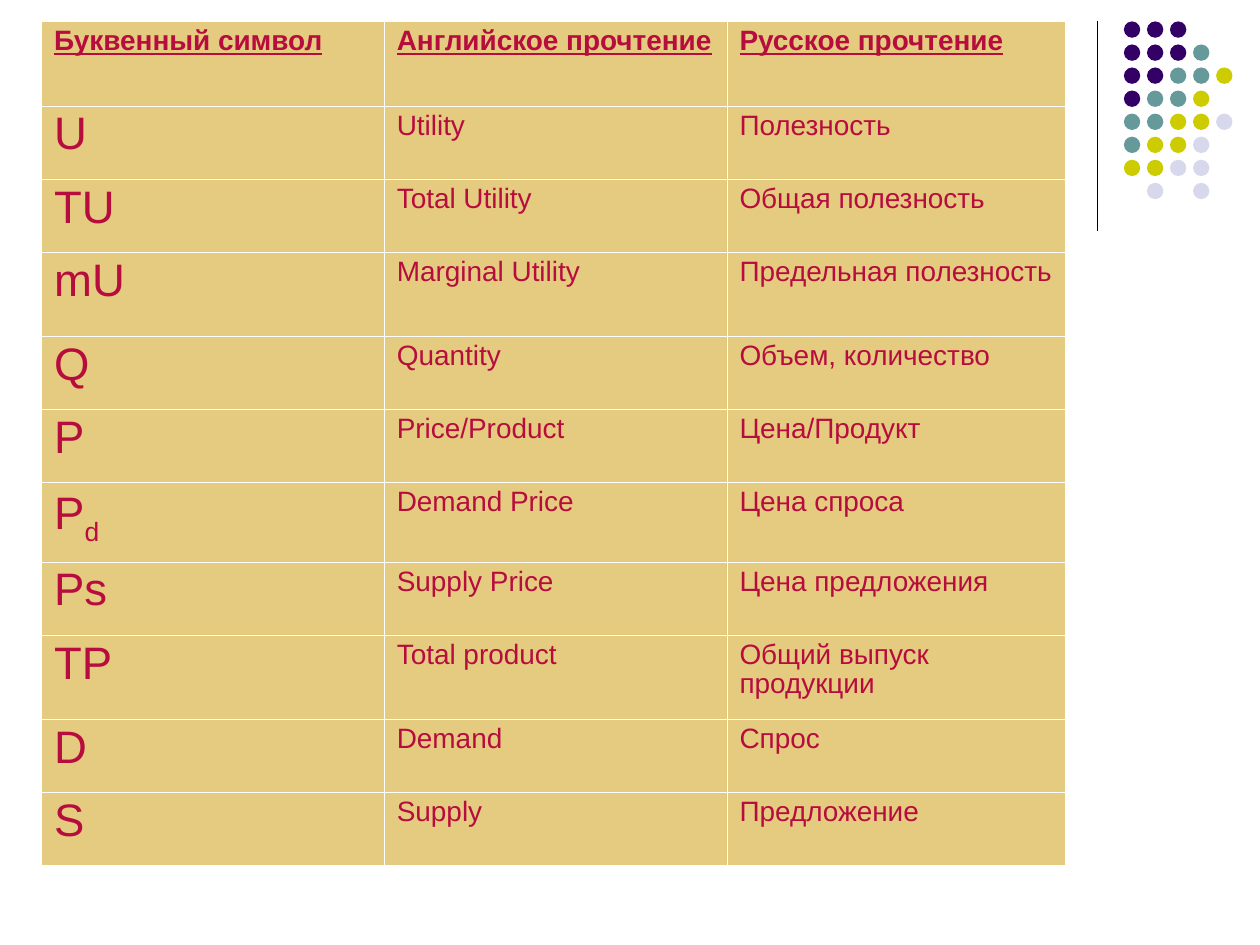
from typing import NamedTuple

from pptx import Presentation
from pptx.dml.color import RGBColor as RGB
from pptx.enum.shapes import MSO_CONNECTOR as CONN, MSO_SHAPE as SHAPE
from pptx.oxml import parse_xml
from pptx.oxml.ns import nsdecls, qn
from pptx.util import Inches, Pt

COLORS = {
    "text": "B70D3E", "cell": "CC9900", "border": "FFFFFF", "rule": "000000",
    "V": "330066", "T": "669999", "Y": "CCCC00", "L": "D8D8EC",
}
HEAD = {"size": Pt(16), "bold": True, "underline": True}
BODY = {"size": Pt(16), "bold": False, "underline": False}
SYMBOL = {"size": Pt(26), "bold": False, "underline": False}
THIN, THICK = 0.23, 0.51


class Term(NamedTuple):
    symbol: str
    english: str
    russian: str
    height: float = 0.58
    subscript: str = ""


TERMS = [
    Term("Буквенный символ", "Английское прочтение", "Русское прочтение", 0.67),
    Term("U", "Utility", "Полезность"),
    Term("TU", "Total Utility", "Общая полезность"),
    Term("mU", "Marginal Utility", "Предельная полезность", 0.67),
    Term("Q", "Quantity", "Объем, количество"),
    Term("P", "Price/Product", "Цена/Продукт"),
    Term("P", "Demand Price", "Цена спроса", 0.63, "d"),
    Term("Ps", "Supply Price", "Цена предложения"),
    Term("TP", "Total product", "Общий выпуск продукции", 0.67),
    Term("D", "Demand", "Спрос"),
    Term("S", "Supply", "Предложение"),
]
COLUMNS = [2.72, 2.72, 2.69]

# One letter per dot, naming its colour
DOTS = ["VVV", "VVVT", "VVTTY", "VTTY", "TTYYL", "TYYL", "YYLL", " L L"]
DOT_LEFT, DOT_TOP, DOT_STEP, DOT_SIZE = 8.92, 0.17, 0.183, 0.13


def color(name: str) -> RGB:
    return RGB.from_string(COLORS[name])


def add_run(p, text: str, fmt: dict, baseline: int = 0) -> None:
    r = p.add_run()
    r.text = text
    r.font.name = "Arial"
    r.font.color.rgb = color("text")
    for name, value in fmt.items():
        setattr(r.font, name, value)
    if baseline:
        r._r.get_or_add_rPr().set("baseline", str(baseline))


def style_cell(cell, widths: dict[str, float]) -> None:
    cell.fill.solid()
    cell.fill.fore_color.rgb = color("cell")
    props = cell._tc.get_or_add_tcPr()
    fill = props.find(qn("a:solidFill"))
    fill[0].append(parse_xml(f'<a:alpha {nsdecls("a")} val="50000"/>'))
    for side, width in widths.items():
        fill.addprevious(parse_xml(
            f'<a:ln{side} {nsdecls("a")} w="{Pt(width)}"><a:solidFill>'
            f'<a:srgbClr val="{COLORS["border"]}"/></a:solidFill></a:ln{side}>'))


def add_terms(slide) -> None:
    table = slide.shapes.add_table(
        len(TERMS), len(COLUMNS), Inches(0.33), Inches(0.17),
        Inches(sum(COLUMNS)), Inches(sum(t.height for t in TERMS))).table
    table.first_row = table.horz_banding = False
    for column, width in zip(table.columns, COLUMNS):
        column.width = Inches(width)

    last_row, last_col = len(TERMS) - 1, len(COLUMNS) - 1
    for i, term in enumerate(TERMS):
        table.rows[i].height = Inches(term.height)
        for j, text in enumerate((term.symbol, term.english, term.russian)):
            cell = table.cell(i, j)
            outer = {"L": j == 0, "R": j == last_col, "T": i == 0, "B": i == last_row}
            style_cell(cell, {s: THICK if edge else THIN for s, edge in outer.items()})
            fmt = HEAD if i == 0 else SYMBOL if j == 0 else BODY
            p = cell.text_frame.paragraphs[0]
            p.line_spacing = 0.93
            p.space_before = Pt(7 if fmt is SYMBOL else 4.2)
            add_run(p, text, fmt)
            if j == 0 and term.subscript:
                add_run(p, term.subscript, fmt, -25000)


def add_rule(slide) -> None:
    x = Inches(8.71)
    line = slide.shapes.add_connector(CONN.STRAIGHT, x, Inches(0.17), x, Inches(1.83))
    line.line.color.rgb = color("rule")
    line.line.width = Pt(0.74)
    line._element.spPr.append(parse_xml(f'<a:effectLst {nsdecls("a")}/>'))


def add_dots(slide) -> None:
    group = slide.shapes.add_group_shape()
    for i, row in enumerate(DOTS):
        for j, key in enumerate(row):
            if key == " ":
                continue
            dot = group.shapes.add_shape(
                SHAPE.OVAL, Inches(DOT_LEFT + j * DOT_STEP),
                Inches(DOT_TOP + i * DOT_STEP), Inches(DOT_SIZE), Inches(DOT_SIZE))
            dot.shadow.inherit = False
            dot.fill.solid()
            dot.fill.fore_color.rgb = color(key)
            dot.line.fill.background()


prs = Presentation()
prs.slide_width, prs.slide_height = Inches(10), Inches(7.5)
slide = prs.slides.add_slide(prs.slide_layouts[6])

# Corner decoration
add_rule(slide)
add_dots(slide)

# Table of symbols
add_terms(slide)

prs.save("out.pptx")
